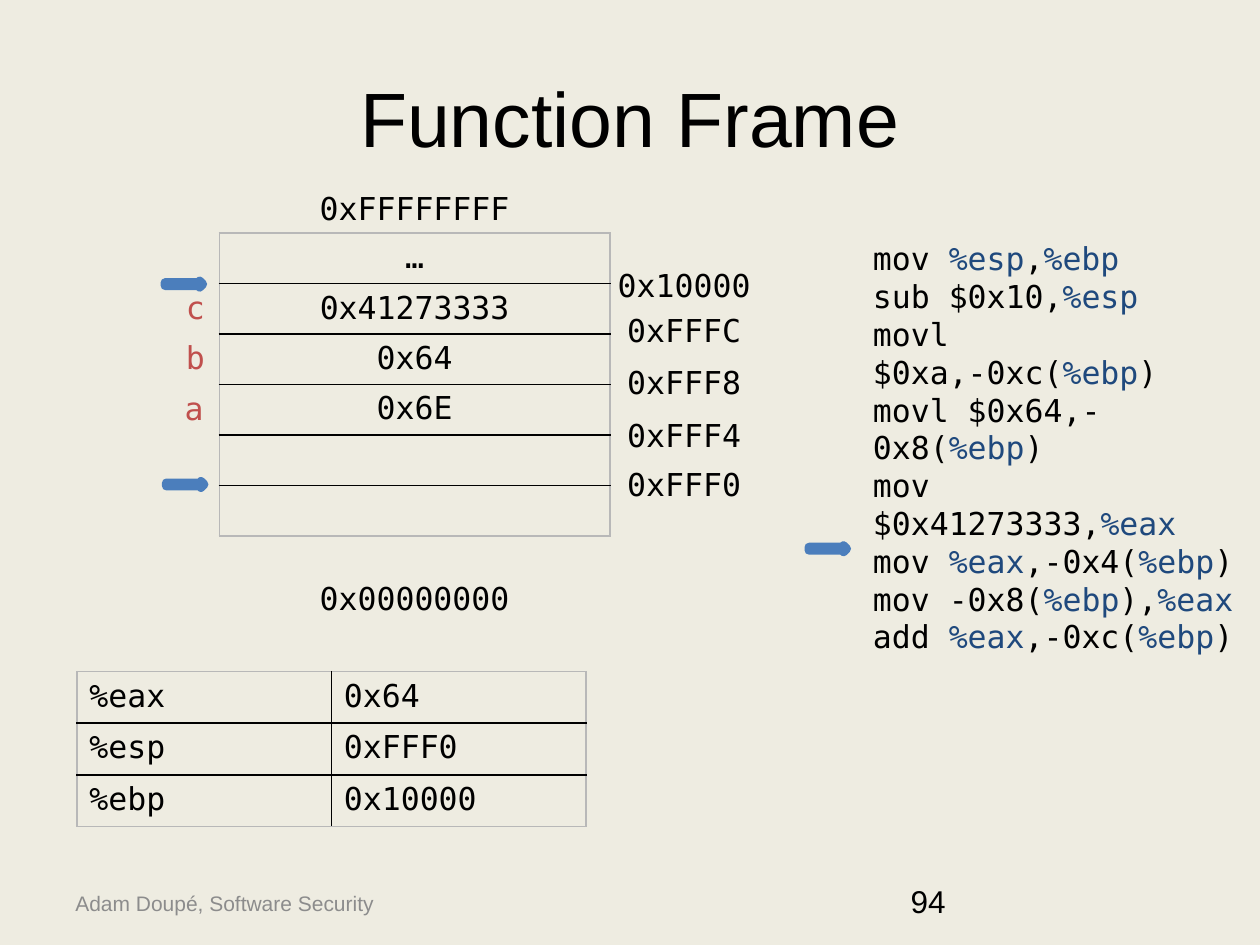
from dataclasses import dataclass

from lxml.etree import SubElement
from pptx import Presentation
from pptx.dml.color import RGBColor
from pptx.enum.shapes import MSO_SHAPE as Shape
from pptx.enum.text import MSO_ANCHOR as Anchor, PP_ALIGN as Align
from pptx.oxml.ns import qn
from pptx.util import Inches, Pt

MONO, SANS = "DejaVu Sans Mono", "Arial"
BLACK, REGISTER, VARIABLE, GREY = "000000", "1F497D", "C0504D", "8C8C8C"
OUTER_BORDER = "B8B8B8"


@dataclass
class Label:
    text: str
    left: float
    top: float
    width: float = 2.3
    height: float = 0.4
    size: int = 18
    font: str = MONO
    color: str = BLACK
    align: Align = Align.CENTER
    anchor: Anchor = Anchor.TOP


@dataclass
class Grid:
    rows: list[tuple[str, ...]]
    left: float
    top: float
    column_width: float
    row_height: float
    align: Align


def rgb(color: str) -> RGBColor:
    return RGBColor.from_string(color)


def add_run(paragraph, text: str, size: int, font: str, color: str) -> None:
    run = paragraph.add_run()
    run.text = text
    run.font.size = Pt(size)
    run.font.name = font
    run.font.color.rgb = rgb(color)


def add_label(slide, label: Label) -> None:
    """Each line is a paragraph; '|' separates runs, and registers get their own colour."""
    box = slide.shapes.add_textbox(Inches(label.left), Inches(label.top),
                                   Inches(label.width), Inches(label.height))
    frame = box.text_frame
    frame.word_wrap = True
    frame.vertical_anchor = label.anchor
    for index, line in enumerate(label.text.split("\n")):
        paragraph = frame.add_paragraph() if index else frame.paragraphs[0]
        paragraph.alignment = label.align
        for part in line.split("|"):
            color = REGISTER if part.startswith("%") else label.color
            add_run(paragraph, part, label.size, label.font, color)


def add_border(cell, side: str, color: str) -> None:
    line = SubElement(cell._tc.get_or_add_tcPr(), qn(f"a:ln{side}"), w=str(Pt(1)))
    fill = SubElement(line, qn("a:solidFill"))
    SubElement(fill, qn("a:srgbClr"), val=color)


def add_grid(slide, grid: Grid) -> None:
    row_count, column_count = len(grid.rows), len(grid.rows[0])
    table = slide.shapes.add_table(
        row_count, column_count, Inches(grid.left), Inches(grid.top),
        Inches(grid.column_width * column_count),
        Inches(grid.row_height * row_count)).table
    table.first_row = table.horz_banding = False
    for r, values in enumerate(grid.rows):
        for c, value in enumerate(values):
            cell = table.cell(r, c)
            on_edge = {"L": c == 0, "R": c == column_count - 1,
                       "T": r == 0, "B": r == row_count - 1}
            for side, outer in on_edge.items():
                add_border(cell, side, OUTER_BORDER if outer else BLACK)
            cell.fill.background()
            paragraph = cell.text_frame.paragraphs[0]
            paragraph.alignment = grid.align
            if value:
                add_run(paragraph, value, 18, MONO, BLACK)


def add_pointer(slide, left: float, top: float) -> None:
    arrow = slide.shapes.add_shape(Shape.RIGHT_ARROW, Inches(left), Inches(top),
                                   Inches(0.3), Inches(0.05))
    arrow.shadow.inherit = False
    arrow.fill.gradient()
    arrow.fill.gradient_angle = 90
    for stop, color in zip(arrow.fill.gradient_stops, ("3F80CE", "A4C4FF")):
        stop.color.rgb = rgb(color)
    arrow.line.color.rgb = rgb("4B7EBC")
    arrow.line.width = Pt(5)


CODE = """mov |%esp|,|%ebp
sub $0x10,|%esp
movl $0xa,-0xc(|%ebp|)
movl $0x64,-0x8(|%ebp|)
mov $0x41273333,|%eax
mov |%eax|,-0x4(|%ebp|)
mov -0x8(|%ebp|),|%eax
add |%eax|,-0xc(|%ebp|)"""

STACK = Grid([("…",), ("0x41273333",), ("0x64",), ("0x6E",), ("",), ("",)],
             1.74, 1.85, 3.1, 0.39, Align.CENTER)
# Register names start with '%' but stay black inside the table
REGISTERS = Grid([("%eax", "0x64"), ("%esp", "0xFFF0"), ("%ebp", "0x10000")],
                 0.61, 5.33, 2.02, 0.41, Align.LEFT)

ADDRESSES = [("0x10000", 2.06), ("0xFFFC", 2.42), ("0xFFF8", 2.83),
             ("0xFFF4", 3.25), ("0xFFF0", 3.64)]
VARIABLES = [("c", 0.4, 2.24), ("b", 0.4, 2.63), ("a", 0.39, 3.04)]
POINTERS = [(1.31, 2.23), (1.32, 3.82), (6.42, 4.33)]


def main() -> None:
    presentation = Presentation()
    presentation.slide_width, presentation.slide_height = Inches(10), Inches(7.5)
    slide = presentation.slides.add_slide(presentation.slide_layouts[6])
    slide.background.fill.solid()
    slide.background.fill.fore_color.rgb = rgb("EEECE1")

    # Title and footer
    add_label(slide, Label("Function Frame", 0.5, 0.3, 9, 1.25, 44, SANS,
                           anchor=Anchor.MIDDLE))
    add_label(slide, Label("Adam Doupé, Software Security", 0.5, 6.97, 4.26, 0.4, 12,
                           SANS, GREY, Align.LEFT, Anchor.MIDDLE))
    add_label(slide, Label("94", 7.13, 6.95, 2.33, font=SANS, align=Align.LEFT))

    # Stack with its limits, addresses and variables
    add_grid(slide, STACK)
    add_label(slide, Label("0xFFFFFFFF", 2.14, 1.45))
    add_label(slide, Label("0x00000000", 2.14, 4.55))
    for address, top in ADDRESSES:
        add_label(slide, Label(address, 4.28, top))
    for name, left, top in VARIABLES:
        add_label(slide, Label(name, left, top, color=VARIABLE))

    # Registers and code
    add_grid(slide, REGISTERS)
    add_label(slide, Label(CODE, 6.83, 1.85, 3.17, 2.52, align=Align.LEFT))

    # Base, stack and instruction pointers
    for left, top in POINTERS:
        add_pointer(slide, left, top)

    presentation.save("out.pptx")


if __name__ == "__main__":
    main()
